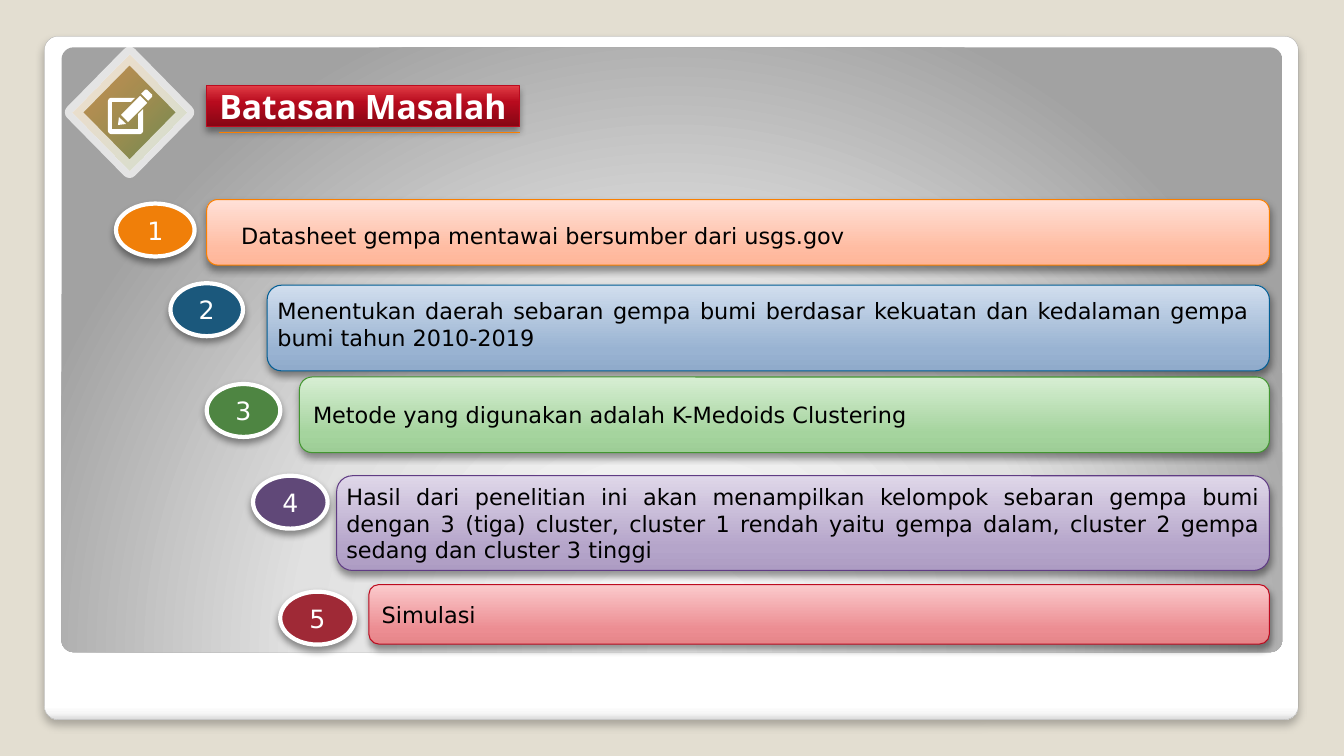
"""Builds the slide that lists the five limits of an earthquake clustering study."""
from dataclasses import dataclass

from lxml import etree
from pptx import Presentation
from pptx.dml.color import RGBColor
from pptx.enum.shapes import MSO_CONNECTOR, MSO_SHAPE
from pptx.enum.text import MSO_ANCHOR, MSO_AUTO_SIZE, PP_ALIGN
from pptx.oxml.ns import qn
from pptx.util import Inches, Pt

ROUNDED, OVAL, DIAMOND = MSO_SHAPE.ROUNDED_RECTANGLE, MSO_SHAPE.OVAL, MSO_SHAPE.DIAMOND
STRAIGHT = MSO_CONNECTOR.STRAIGHT
MIDDLE, NO_FIT = MSO_ANCHOR.MIDDLE, MSO_AUTO_SIZE.NONE
CENTER, JUSTIFY = PP_ALIGN.CENTER, PP_ALIGN.JUSTIFY
WIDTH, HEIGHT = Inches(13.333), Inches(7.5)
COLUMN, ROW = WIDTH / 100, HEIGHT / 100
ICON_UNIT = WIDTH / 1333
CARD_RIGHT, BADGE_HEIGHT = 94.45, 7


@dataclass(frozen=True)
class Theme:
    """Colours, gradients, fonts and type sizes of the slide."""
    background: str = "E3DED1"
    white: str = "FFFFFF"
    black: str = "000000"
    accent: str = "F97F00"
    frame_line: str = "A4A4A4"
    title_line: str = "BC0B1F"
    frame: tuple = ((0, "FFFFFF"), (98, "FFFFFF"), (99, "F7F7F7"), (100, "DADADA"))
    panel: tuple = ((0, "FFFFFF"), (55, "E1E1E1"), (100, "A2A2A2"))
    title: tuple = ((0, "870614"), (60, "B80B1E"), (100, "E13C45"))
    emblem: tuple = ((0, "F07F09", 50), (100, "4E8542", 81))
    title_font: str = "Open Sans"
    body_font: str = "DejaVu Sans"
    title_size: int = 24
    badge_size: int = 18
    body_size: int = 16


@dataclass(frozen=True)
class Limit:
    """One limit: its card, its badge and its text; insets are in inches."""
    text: str
    card: tuple
    badge: tuple
    colors: tuple
    line: str
    badge_color: str
    insets: tuple = (0.1, 0.05, 0.1, 0.05)


THEME = Theme()
LIMITS = (
    Limit("Datasheet gempa mentawai bersumber dari usgs.gov",
          (15.38, 26.4, 8.67), (8.63, 26.93, 5.85),
          ("FFB598", "FFBCA2", "FFE1D8"), "F97F00", "F07F09", (0.31, 0.11, 0.1, 0.05)),
    Limit("Menentukan daerah sebaran gempa bumi berdasar kekuatan dan kedalaman gempa "
          "bumi tahun 2010-2019",
          (19.88, 37.73, 11.33), (12.68, 37.47, 5.4),
          ("90ABCB", "99B3D2", "D1DEEE"), "035E94", "1B587C", (0.06, 0.05, 0.16, 0.12)),
    Limit("Metode yang digunakan adalah K-Medoids Clustering",
          (22.28, 49.87, 10), (15.38, 50.8, 5.48),
          ("9DCD96", "A5D49E", "D7EED3"), "439631", "4E8542"),
    Limit("Hasil dari penelitian ini akan menampilkan kelompok sebaran gempa bumi dengan "
          "3 (tiga) cluster, cluster 1 rendah yaitu gempa dalam, cluster 2 gempa sedang "
          "dan cluster 3 tinggi",
          (25.05, 62.93, 12.53), (18.83, 62.93, 5.55),
          ("AD9CC3", "B5A5CA", "DFD7E9"), "603C84", "604878", (0.05, 0.05, 0.05, 0.05)),
    Limit("Simulasi",
          (27.45, 77.33, 7.87), (20.85, 78.27, 5.55),
          ("E68589", "EC8D92", "FBCACC"), "BC0B1F", "9F2936"),
)
PENCIL_AND_PAPER = (
    ((144, 89), (146, 89), (151, 94), (151, 96), (147, 100), (140, 93)),
    ((139, 95), (146, 102), (127, 121), (120, 114)),
    ((118, 116), (125, 123), (117, 124)),
    ((110, 97), (134, 97), (130, 101), (111, 101), (111, 128), (137, 128), (137, 113),
     (142, 108), (142, 130), (141, 132), (139, 133), (110, 133), (108, 132), (107, 130),
     (107, 100), (108, 98)),
)


def grid(left, top, width, height):
    """Turn grid columns and rows into slide lengths."""
    return tuple(round(value) for value in
                 (left * COLUMN, top * ROW, width * COLUMN, height * ROW))


def add_color(parent, color, alpha=100):
    """Append a colour element with its opacity in percent."""
    element = etree.SubElement(parent, qn("a:srgbClr"), val=color)
    if alpha < 100:
        etree.SubElement(element, qn("a:alpha"), val=str(alpha * 1000))


def fill_solid(fill, color):
    """Give a fill one plain colour."""
    fill.solid()
    fill.fore_color.rgb = RGBColor.from_string(color)


def fill_gradient(shape, stops, angle=270, center=None):
    """Fill with a linear gradient, or with a radial one around a center."""
    shape.fill.solid()
    properties = shape.element.spPr
    gradient = etree.Element(qn("a:gradFill"), rotWithShape="1")
    stop_list = etree.SubElement(gradient, qn("a:gsLst"))
    for position, *color in stops:
        stop = etree.SubElement(stop_list, qn("a:gs"), pos=str(position * 1000))
        add_color(stop, *color)
    if center:
        radial = etree.SubElement(gradient, qn("a:path"), path="circle")
        sides = {side: str(share * 1000) for side, share in zip("ltrb", center)}
        etree.SubElement(radial, qn("a:fillToRect"), **sides)
    else:
        etree.SubElement(gradient, qn("a:lin"), ang=str(angle * 60000), scaled="0")
    properties.replace(properties.find(qn("a:solidFill")), gradient)


def set_line(shape, color, width):
    """Outline a shape."""
    fill_solid(shape.line.fill, color)
    shape.line.width = Pt(width)


def add_shadow(shape, alpha=40, blur=5.2, distance=3):
    """Drop a soft black shadow straight down."""
    shape.shadow.inherit = False
    effects = shape.element.spPr.find(qn("a:effectLst"))
    shadow = etree.SubElement(effects, qn("a:outerShdw"), blurRad=str(Pt(blur)),
                              dist=str(Pt(distance)), dir="5400000", rotWithShape="0")
    add_color(shadow, THEME.black, alpha)


def add_block(slide, kind, box):
    """Add a preset shape on the grid, without a shadow."""
    shape = slide.shapes.add_shape(kind, *grid(*box))
    shape.shadow.inherit = False
    return shape


def write(shape, text, font, size, color, alignment, insets=(0, 0, 0, 0), bold=False):
    """Write one vertically centred paragraph into a shape."""
    frame = shape.text_frame
    frame.word_wrap, frame.auto_size, frame.vertical_anchor = True, NO_FIT, MIDDLE
    (frame.margin_left, frame.margin_top,
     frame.margin_right, frame.margin_bottom) = map(Inches, insets)
    paragraph = frame.paragraphs[0]
    paragraph.text, paragraph.alignment = text, alignment
    paragraph.font.name, paragraph.font.size, paragraph.font.bold = font, Pt(size), bold
    paragraph.font.color.rgb = RGBColor.from_string(color)


def add_backdrop(slide):
    """Add the white frame and the grey panel inside it."""
    fill_solid(slide.background.fill, THEME.background)
    frame = add_block(slide, ROUNDED, (3.3, 4.8, 93.3, 90.4))
    panel = add_block(slide, ROUNDED, (4.58, 6.27, 90.83, 80))
    frame.adjustments[0] = panel.adjustments[0] = 0.02
    fill_gradient(frame, THEME.frame, angle=90)
    set_line(frame, THEME.frame_line, 0.16)
    add_shadow(frame, alpha=25, blur=6, distance=4)
    fill_gradient(panel, THEME.panel, center=(50, 175, 50, -75))
    panel.line.fill.background()


def add_title(slide):
    """Format the title as a red bar, lift it above the panel and underline it."""
    title = slide.shapes.title
    title.left, title.top, title.width, title.height = grid(15.38, 11.33, 23.25, 5.4)
    fill_gradient(title, THEME.title)
    set_line(title, THEME.title_line, 0.75)
    add_shadow(title)
    write(title, "Batasan Masalah", THEME.title_font, THEME.title_size, THEME.white,
          CENTER, bold=True)
    title.element.getparent().append(title.element)
    left, top, right, bottom = grid(16.28, 17.53, 38.7, 17.53)
    underline = slide.shapes.add_connector(STRAIGHT, left, top, right, bottom)
    set_line(underline, THEME.accent, 0.75)
    etree.SubElement(underline.element.spPr, qn("a:effectLst"))


def add_emblem(slide):
    """Add the diamond with the pencil and paper icon."""
    diamond = add_block(slide, DIAMOND, (5.4, 7.2, 8.48, 15.33))
    fill_gradient(diamond, THEME.emblem, angle=45)
    set_line(diamond, THEME.white, 11)
    line_color = diamond.line.fill.fore_color
    line_color.rgb = RGBColor.from_string(THEME.white)
    outline = diamond.element.spPr.find(qn("a:ln")).find(qn("a:solidFill"))
    outline.clear()
    add_color(outline, THEME.white, 71)
    for start, *points in PENCIL_AND_PAPER:
        builder = slide.shapes.build_freeform(*start, scale=ICON_UNIT)
        builder.add_line_segments(points, close=True)
        part = builder.convert_to_shape()
        part.shadow.inherit = False
        fill_solid(part.fill, THEME.white)
        part.line.fill.background()


def add_limit(slide, number, limit):
    """Add one card and its numbered badge."""
    left, top, height = limit.card
    card = add_block(slide, ROUNDED, (left, top, CARD_RIGHT - left, height))
    fill_gradient(card, tuple(zip((0, 25, 100), limit.colors)))
    set_line(card, limit.line, 0.75)
    add_shadow(card)
    write(card, limit.text, THEME.body_font, THEME.body_size, THEME.black, JUSTIFY,
          limit.insets)
    badge = add_block(slide, OVAL, (*limit.badge, BADGE_HEIGHT))
    fill_solid(badge.fill, limit.badge_color)
    set_line(badge, THEME.white, 3)
    add_shadow(badge)
    write(badge, str(number), THEME.body_font, THEME.badge_size, THEME.white, CENTER)


def main():
    """Build and save the presentation."""
    presentation = Presentation()
    presentation.slide_width, presentation.slide_height = WIDTH, HEIGHT
    slide = presentation.slides.add_slide(presentation.slide_layouts[5])
    add_backdrop(slide)
    add_title(slide)
    add_emblem(slide)
    for number, limit in enumerate(LIMITS, start=1):
        add_limit(slide, number, limit)
    presentation.save("out.pptx")


if __name__ == "__main__":
    main()
